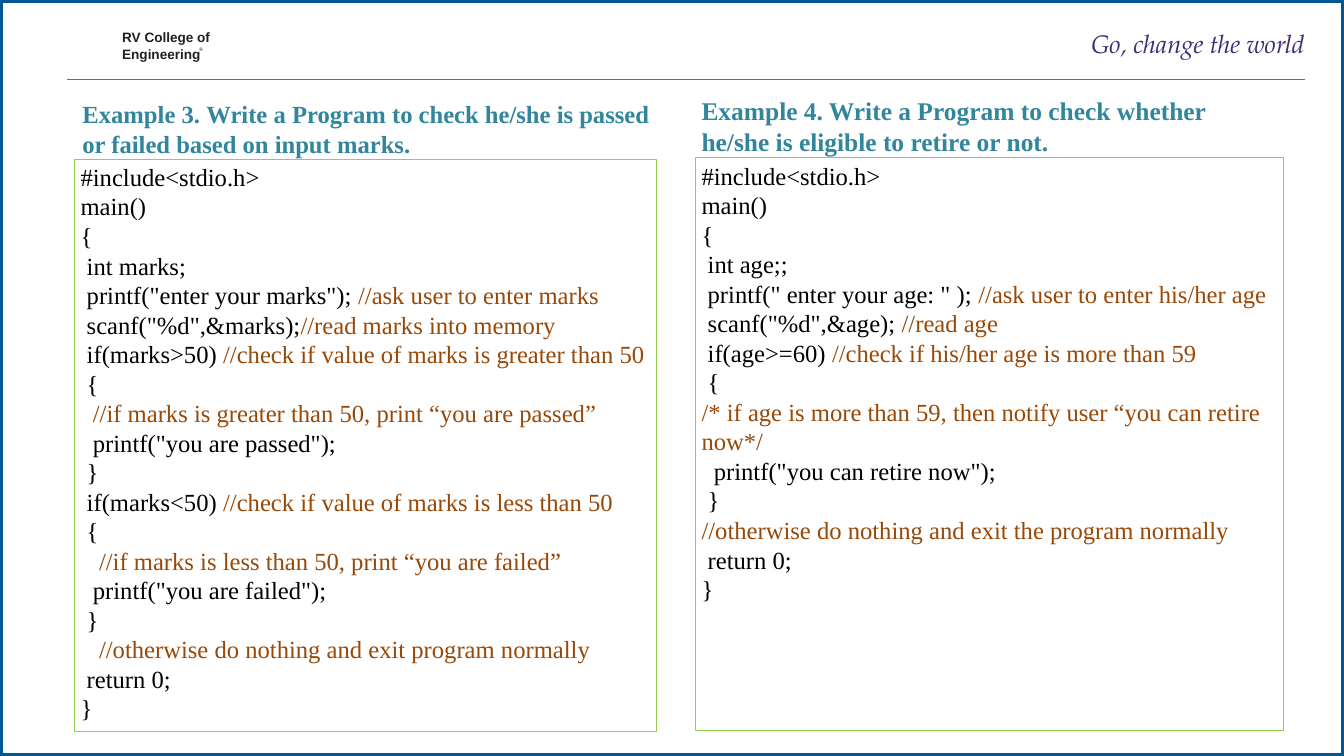
from lxml import etree
from pptx import Presentation
from pptx.dml.color import RGBColor
from pptx.enum.shapes import MSO_CONNECTOR, MSO_SHAPE
from pptx.enum.text import MSO_ANCHOR, MSO_AUTO_SIZE, PP_ALIGN
from pptx.oxml.ns import qn
from pptx.util import Inches, Pt

RECTANGLE = MSO_SHAPE.RECTANGLE
STRAIGHT = MSO_CONNECTOR.STRAIGHT
TOP, MIDDLE = MSO_ANCHOR.TOP, MSO_ANCHOR.MIDDLE
LEFT, RIGHT = PP_ALIGN.LEFT, PP_ALIGN.RIGHT
NO_AUTOFIT = MSO_AUTO_SIZE.NONE

WIDTH, HEIGHT = 21.99, 12.37
SERIF, SANS, SCRIPT = "Times New Roman", "Arial", "TeX Gyre Pagella"
COLORS = {
    "frame": "005893", "rule": "5E6DB3", "college": "231F20", "motto": "422C75",
    "heading": "31859C", "code": "000000", "comment": "984807", "border": "92D050",
}

MOTTO = "Go, change the world"
COLLEGE = ["RV College of", "Engineering"]

MARKS_HEADING = [
    ("Example 3.", 29, SERIF, True),
    (" ", 32, "Calibri", False),
    ("Write a Program to check he/she is passed or failed based on input marks.",
     29, SERIF, True),
]
MARKS_CODE = """#include<stdio.h>
main()
{
 int marks;
 printf("enter your marks"); //ask user to enter marks
 scanf("%d",&marks);//read marks into memory
 if(marks>50) //check if value of marks is greater than 50
 {
  //if marks is greater than 50, print “you are passed”
  printf("you are passed");
 }
 if(marks<50) //check if value of marks is less than 50
 {
   //if marks is less than 50, print “you are failed”
  printf("you are failed");
 }
   //otherwise do nothing and exit program normally
 return 0;
}"""

AGE_HEADING = [
    ("Example 4. Write a Program to check whether he/she is eligible to retire or not.",
     30, SERIF, True),
]
AGE_CODE = """#include<stdio.h>
main()
{
 int age;;
 printf(" enter your age: " ); //ask user to enter his/her age
 scanf("%d",&age); //read age
 if(age>=60) //check if his/her age is more than 59
 {
/* if age is more than 59, then notify user “you can retire now*/
  printf("you can retire now");
 }
//otherwise do nothing and exit the program normally
 return 0;
}"""

# heading, heading indent, heading line spacing, code, left, code top, width
EXAMPLES = [
    (MARKS_HEADING, 0.03, None, MARKS_CODE, 1.22, 2.6, 9.52),
    (AGE_HEADING, 0, Pt(35.5), AGE_CODE, 11.38, 2.58, 9.62),
]
HEADING_TOP, HEADING_HEIGHT, CODE_HEIGHT = 1.52, 1.1, 9.37
CODE_SIZE, CODE_SPACING = 29, Pt(34.8)


def color(name):
    return RGBColor.from_string(COLORS[name])


def add_run(paragraph, text, size, font, color_name, bold=False, italic=False):
    run = paragraph.add_run()
    run.text = text
    run.font.size = Pt(size)
    run.font.name = font
    run.font.bold = bold
    run.font.italic = italic
    run.font.color.rgb = color(color_name)


def place(shape, left, top, width, height):
    shape.left, shape.top = Inches(left), Inches(top)
    shape.width, shape.height = Inches(width), Inches(height)


def prepare_frame(shape, side=0.1, upper=0.05, anchor=TOP):
    frame = shape.text_frame
    frame.word_wrap = True
    frame.auto_size = NO_AUTOFIT
    frame.vertical_anchor = anchor
    frame.margin_left = frame.margin_right = Inches(side)
    frame.margin_top = frame.margin_bottom = Inches(upper)
    return frame


def add_textbox(slide, left, top, width, height, **insets):
    box = slide.shapes.add_textbox(
        Inches(left), Inches(top), Inches(width), Inches(height))
    return prepare_frame(box, **insets)


def add_outline(slide, left, top, width, height, color_name, line_width):
    """Add an unfilled rectangle."""
    shape = slide.shapes.add_shape(
        RECTANGLE, Inches(left), Inches(top), Inches(width), Inches(height))
    shape.shadow.inherit = False
    shape.fill.background()
    shape.line.color.rgb = color(color_name)
    shape.line.width = Pt(line_width)
    return shape


def next_paragraph(frame, index):
    return frame.add_paragraph() if index else frame.paragraphs[0]


def split_comment(line):
    """Return the code and the comment of one line."""
    for marker in ("//", "/*"):
        code, found, comment = line.partition(marker)
        if found:
            return code, found + comment
    return line, ""


def add_code(slide, code, left, top, width):
    box = add_outline(slide, left, top, width, CODE_HEIGHT, "border", 0.75)
    frame = prepare_frame(box)
    for index, line in enumerate(code.splitlines()):
        paragraph = next_paragraph(frame, index)
        paragraph.alignment = LEFT
        paragraph.line_spacing = CODE_SPACING
        for text, color_name in zip(split_comment(line), ("code", "comment")):
            if text:
                add_run(paragraph, text, CODE_SIZE, SERIF, color_name)


def add_heading(slide, runs, indent, spacing, left, width):
    frame = add_textbox(slide, left, HEADING_TOP, width, HEADING_HEIGHT)
    paragraph = frame.paragraphs[0]
    paragraph._p.get_or_add_pPr().set("marL", str(Inches(indent)))
    if spacing:
        paragraph.line_spacing = spacing
    for text, size, font, bold in runs:
        add_run(paragraph, text, size, font, "heading", bold)


def add_header(slide):
    title = slide.shapes.title
    place(title, 17.33, 0.45, 4.02, 0.51)
    paragraph = prepare_frame(title, side=0, upper=0, anchor=MIDDLE).paragraphs[0]
    paragraph.alignment = RIGHT
    add_run(paragraph, MOTTO, 30, SCRIPT, "motto", italic=True)

    rule = slide.shapes.add_connector(
        STRAIGHT, Inches(1.1), Inches(1.3), Inches(21.36), Inches(1.3))
    rule.line.color.rgb = color("rule")
    rule.line.width = Pt(1.25)
    etree.SubElement(rule._element.spPr, qn("a:effectLst"))

    college = add_textbox(slide, 2, 0.48, 1.5, 0.54, side=0, upper=0.02)
    for index, line in enumerate(COLLEGE):
        paragraph = next_paragraph(college, index)
        paragraph.line_spacing = Pt(17.9)
        if index:
            paragraph.space_before = Pt(1.4)
        add_run(paragraph, line, 16, SANS, "college", bold=True)
    mark = add_textbox(slide, 3.26, 0.76, 0.12, 0.1, side=0, upper=0)
    add_run(mark.paragraphs[0], "®", 6, SANS, "college")


def main():
    presentation = Presentation()
    presentation.slide_width = Inches(WIDTH)
    presentation.slide_height = Inches(HEIGHT)
    slide = presentation.slides.add_slide(presentation.slide_layouts[5])
    add_outline(slide, 0, 0, WIDTH, HEIGHT, "frame", 6)
    add_header(slide)
    for heading, indent, spacing, code, left, top, width in EXAMPLES:
        add_code(slide, code, left, top, width)
        add_heading(slide, heading, indent, spacing, left, width)
    presentation.save("out.pptx")


if __name__ == "__main__":
    main()
